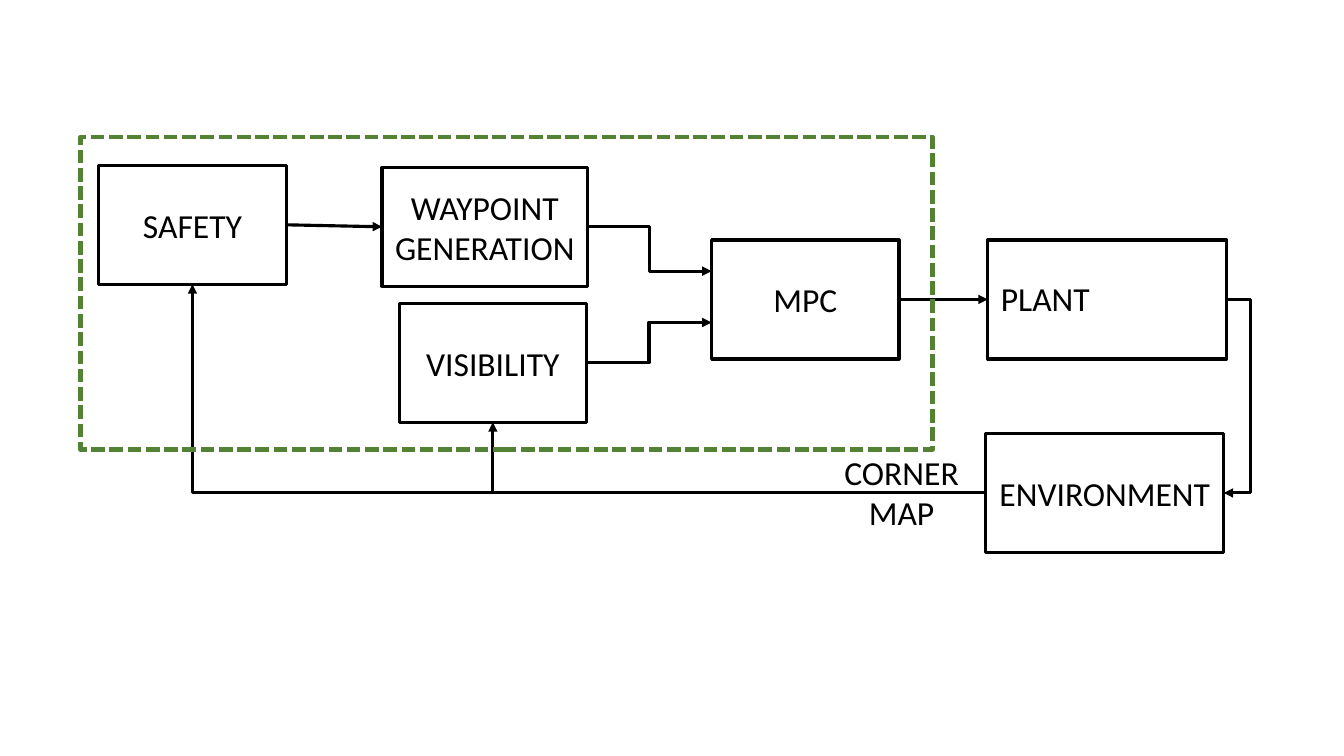
"""Build a block diagram slide of a safety-aware MPC control loop."""
import pptx
import pptx.dml.color
import pptx.enum.dml
import pptx.enum.shapes
import pptx.enum.text
import pptx.oxml.ns
import pptx.util
from lxml import etree

Pt = pptx.util.Pt
ALIGN = pptx.enum.text.PP_ALIGN
KIND = pptx.enum.shapes.MSO_CONNECTOR
BLACK = pptx.dml.color.RGBColor(0x00, 0x00, 0x00)
WHITE = pptx.dml.color.RGBColor(0xFF, 0xFF, 0xFF)
GREEN = pptx.dml.color.RGBColor(0x54, 0x82, 0x35)
TOP, LEFT, BOTTOM, RIGHT = range(4)

BOX_HEIGHT = 85
BLOCKS = {
    "PLANT": (705.6, 171.4, 170.6),
    "MPC": (508.3, 171.4, 133.9),
    "VISIBILITY": (285.1, 216.7, 133.9),
    "WAYPOINT GENERATION": (272.9, 119.5, 146.9),
    "SAFETY": (70.6, 118.1, 133.9),
    "ENVIRONMENT": (704.2, 309.6, 169.9),
}
STRAIGHT_ARROWS = [("SAFETY", "WAYPOINT GENERATION"), ("MPC", "PLANT")]
MPC_INPUTS = [("WAYPOINT GENERATION", 193.7), ("VISIBILITY", 230.4)]
FEEDBACK_TARGETS = ["VISIBILITY", "SAFETY"]
RETURN_X = 893.5
FRAME = (57.6, 97.9, 608.4, 223.2)
LABELS = [
    (["CORNER", "MAP"], (595.4, 319, 97.2, 65.5), ALIGN.CENTER),
    (["PLANT"], (707.8, 195.1, 80, 36), ALIGN.LEFT),
]


def write(shape, lines, align=ALIGN.CENTER, size=24, color=BLACK, font="Calibri"):
    frame = shape.text_frame
    frame.word_wrap = True
    for index, line in enumerate(lines):
        para = frame.add_paragraph() if index else frame.paragraphs[0]
        para.alignment = align
        span = para.add_run()
        span.text = line
        span.font.size = Pt(size)
        span.font.name = font
        span.font.color.rgb = color


def add_rectangle(page, place, color, width):
    box = page.shapes.add_shape(
        pptx.enum.shapes.MSO_SHAPE.RECTANGLE, *map(Pt, place))
    box.shadow.inherit = False
    box.line.color.rgb = color
    box.line.width = Pt(width)
    return box


def add_arrow(page, kind, start, side, end, end_side=None, end_y=0):
    """Join two boxes; without an end side, stop on the left edge at end_y."""
    arrow = page.shapes.add_connector(kind, 0, 0, end.left, Pt(end_y))
    arrow.begin_connect(start, side)
    if end_side is not None:
        arrow.end_connect(end, end_side)
    arrow.line.color.rgb = BLACK
    arrow.line.width = Pt(2.25)
    line = arrow.line._get_or_add_ln()
    etree.SubElement(line, pptx.oxml.ns.qn("a:tailEnd"), type="triangle")
    properties = arrow._element.spPr
    etree.SubElement(properties, pptx.oxml.ns.qn("a:effectLst"))
    return arrow


def main():
    deck = pptx.Presentation()
    deck.slide_width, deck.slide_height = Pt(960), Pt(540)
    page = deck.slides.add_slide(deck.slide_layouts[6])

    boxes = {}
    for name, place in BLOCKS.items():
        box = add_rectangle(page, (*place, BOX_HEIGHT), BLACK, 2.25)
        box.fill.solid()
        box.fill.fore_color.rgb = WHITE
        box.text_frame.vertical_anchor = pptx.enum.text.MSO_ANCHOR.MIDDLE
        if name != "PLANT":
            write(box, [name])
        boxes[name] = box

    for start, end in STRAIGHT_ARROWS:
        add_arrow(page, KIND.STRAIGHT, boxes[start], RIGHT, boxes[end], LEFT)
    for start, entry_y in MPC_INPUTS:
        add_arrow(page, KIND.ELBOW, boxes[start], RIGHT, boxes["MPC"], end_y=entry_y)
    environment = boxes["ENVIRONMENT"]
    for target in FEEDBACK_TARGETS:
        arrow = add_arrow(page, KIND.ELBOW, environment, LEFT, boxes[target], BOTTOM)
        arrow._element.spPr.prstGeom.set("prst", "bentConnector2")

    arrow = add_arrow(page, KIND.ELBOW, boxes["PLANT"], RIGHT, environment, RIGHT)
    bend = (arrow.begin_x - Pt(RETURN_X)) / (arrow.begin_x - arrow.end_x)
    guides = arrow._element.spPr.prstGeom.get_or_add_avLst()
    etree.SubElement(guides, pptx.oxml.ns.qn("a:gd"), name="adj1",
                     fmla=f"val {round(bend * 100000)}")

    frame = add_rectangle(page, FRAME, GREEN, 3.25)
    frame.fill.background()
    frame.line.dash_style = pptx.enum.dml.MSO_LINE.SQUARE_DOT

    for lines, place, align in LABELS:
        write(page.shapes.add_textbox(*map(Pt, place)), lines, align=align)
    deck.save("out.pptx")


if __name__ == "__main__":
    main()
